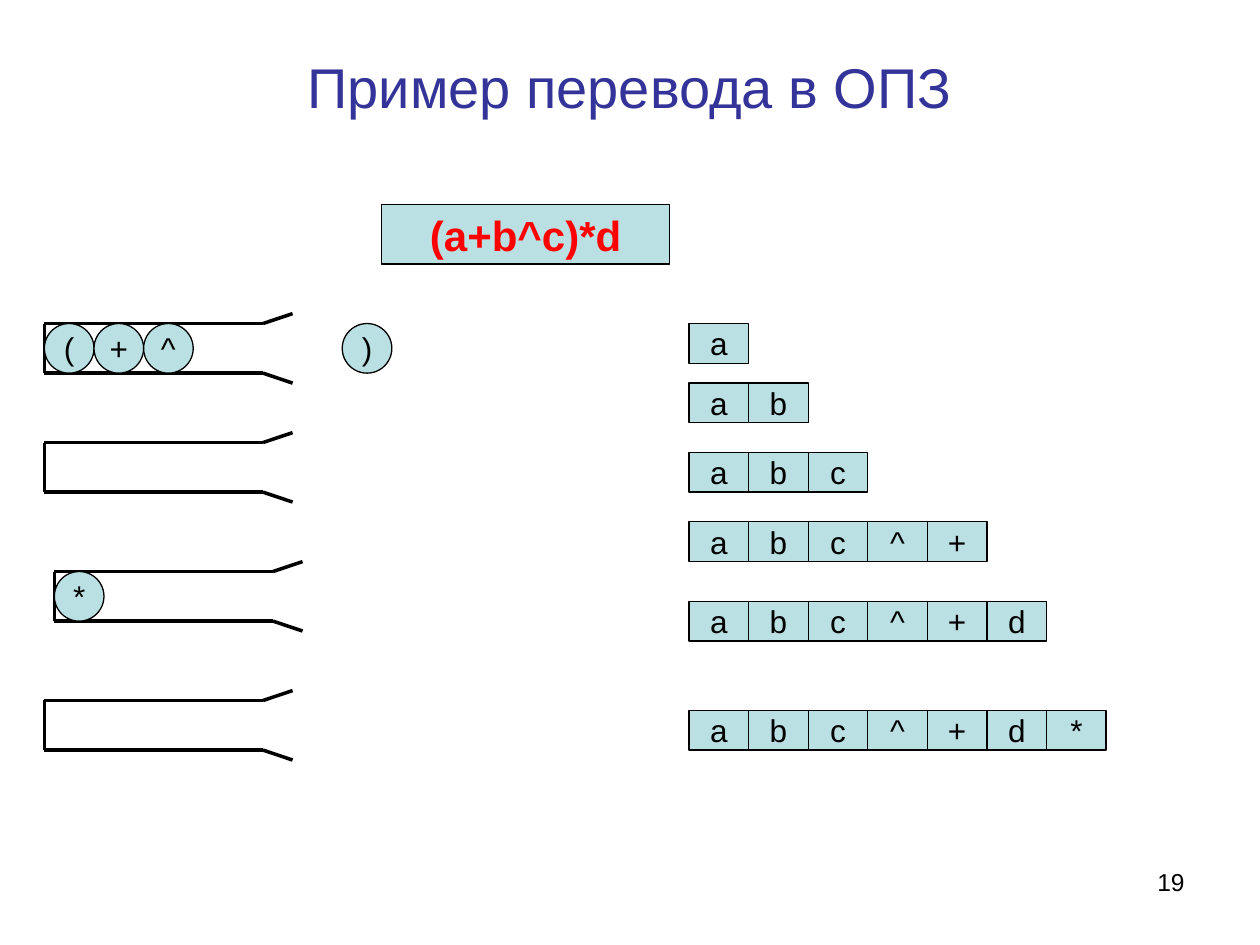
from lxml.etree import SubElement
from pptx import Presentation
from pptx.dml.color import RGBColor
from pptx.enum.shapes import MSO_CONNECTOR as CONNECTOR, MSO_SHAPE as SHAPE
from pptx.enum.text import MSO_ANCHOR as ANCHOR, PP_ALIGN as ALIGN
from pptx.oxml.ns import qn
from pptx.util import Pt

COLORS = {
    "title": "333399",
    "fill": "BBE0E3",
    "ink": "000000",
    "formula": "FF0000",
}
CELL_LEFT, CELL_WIDTH, CELL_HEIGHT = 393.75, 34.05, 22.68
STACK_LENGTH, STACK_HEIGHT = 124.9, 28.35
FLARE_WIDTH, FLARE_HEIGHT = 16.9, 5.67

OUTPUT_ROWS = [
    ("a", 184.9),
    ("ab", 218.9),
    ("abc", 258.6),
    ("abc^+", 298.2),
    ("abc^+d", 343.6),
    ("abc^+d*", 406),
]
STACKS = [
    ("(+^", 25.4, 184.9),
    ("", 25.4, 252.9),
    ("*", 31.1, 326.6),
    ("", 25.4, 400.3),
]


class SlideBuilder:
    font = "Arial"

    def __init__(self, presentation):
        self.slide = presentation.slides.add_slide(presentation.slide_layouts[5])

    def color(self, name):
        return RGBColor.from_string(COLORS[name])

    def set_text(self, shape, text, size, color="ink", bold=False,
                 align=ALIGN.CENTER, anchor=ANCHOR.MIDDLE, wrap=True):
        frame = shape.text_frame
        frame.word_wrap = wrap
        frame.vertical_anchor = anchor
        paragraph = frame.paragraphs[0]
        paragraph.alignment = align
        run = paragraph.add_run()
        run.text = text
        run.font.name = self.font
        run.font.size = Pt(size)
        run.font.bold = bold
        run.font.color.rgb = self.color(color)

    def title(self, text, left, top, width, height):
        shape = self.slide.shapes.title
        shape.left, shape.top = Pt(left), Pt(top)
        shape.width, shape.height = Pt(width), Pt(height)
        self.set_text(shape, text, 32, "title")

    def label(self, text, left, top, width, height):
        box = self.slide.shapes.add_textbox(Pt(left), Pt(top), Pt(width), Pt(height))
        self.set_text(box, text, 14, align=ALIGN.RIGHT, anchor=ANCHOR.TOP)

    def box(self, kind, text, left, top, width, height, size=18, **text_style):
        shape = self.slide.shapes.add_shape(kind, Pt(left), Pt(top), Pt(width), Pt(height))
        shape.shadow.inherit = False
        shape.fill.solid()
        shape.fill.fore_color.rgb = self.color("fill")
        shape.line.color.rgb = self.color("ink")
        shape.line.width = Pt(0.75)
        self.set_text(shape, text, size, wrap=False, **text_style)

    def token(self, text, left, top):
        self.box(SHAPE.OVAL, text, left, top, STACK_HEIGHT, STACK_HEIGHT)

    def line(self, start, end):
        points = [Pt(value) for value in (*start, *end)]
        connector = self.slide.shapes.add_connector(CONNECTOR.STRAIGHT, *points)
        connector.line.color.rgb = self.color("ink")
        connector.line.width = Pt(2)
        SubElement(connector._element.spPr, qn("a:effectLst"))

    def stack(self, tokens, left, top):
        """Draw a stack lying on its side, open to the right, with its tokens."""
        bottom, mouth = top + STACK_HEIGHT, left + STACK_LENGTH
        self.line((left, top), (left, bottom))
        for y, flare in ((top, -FLARE_HEIGHT), (bottom, FLARE_HEIGHT)):
            self.line((left, y), (mouth, y))
            self.line((mouth, y), (mouth + FLARE_WIDTH, y + flare))
        for index, token in enumerate(tokens):
            self.token(token, left + index * STACK_HEIGHT, top)

    def output_row(self, symbols, top):
        for index, symbol in enumerate(symbols):
            self.box(SHAPE.RECTANGLE, symbol, CELL_LEFT + index * CELL_WIDTH, top,
                     CELL_WIDTH, CELL_HEIGHT)


def main():
    presentation = Presentation()
    presentation.slide_width, presentation.slide_height = Pt(720), Pt(540)
    builder = SlideBuilder(presentation)
    builder.title("Пример перевода в ОПЗ", 36, 21.6, 648, 55.4)
    builder.box(SHAPE.RECTANGLE, "(a+b^c)*d", 218.2, 116.9, 164.4, 34,
                size=24, color="formula", bold=True)
    for symbols, top in OUTPUT_ROWS:
        builder.output_row(symbols, top)
    for tokens, left, top in STACKS:
        builder.stack(tokens, left, top)
    builder.token(")", 195.6, 184.9)
    builder.label("19", 516, 491.8, 168, 37.4)
    presentation.save("out.pptx")


if __name__ == "__main__":
    main()
